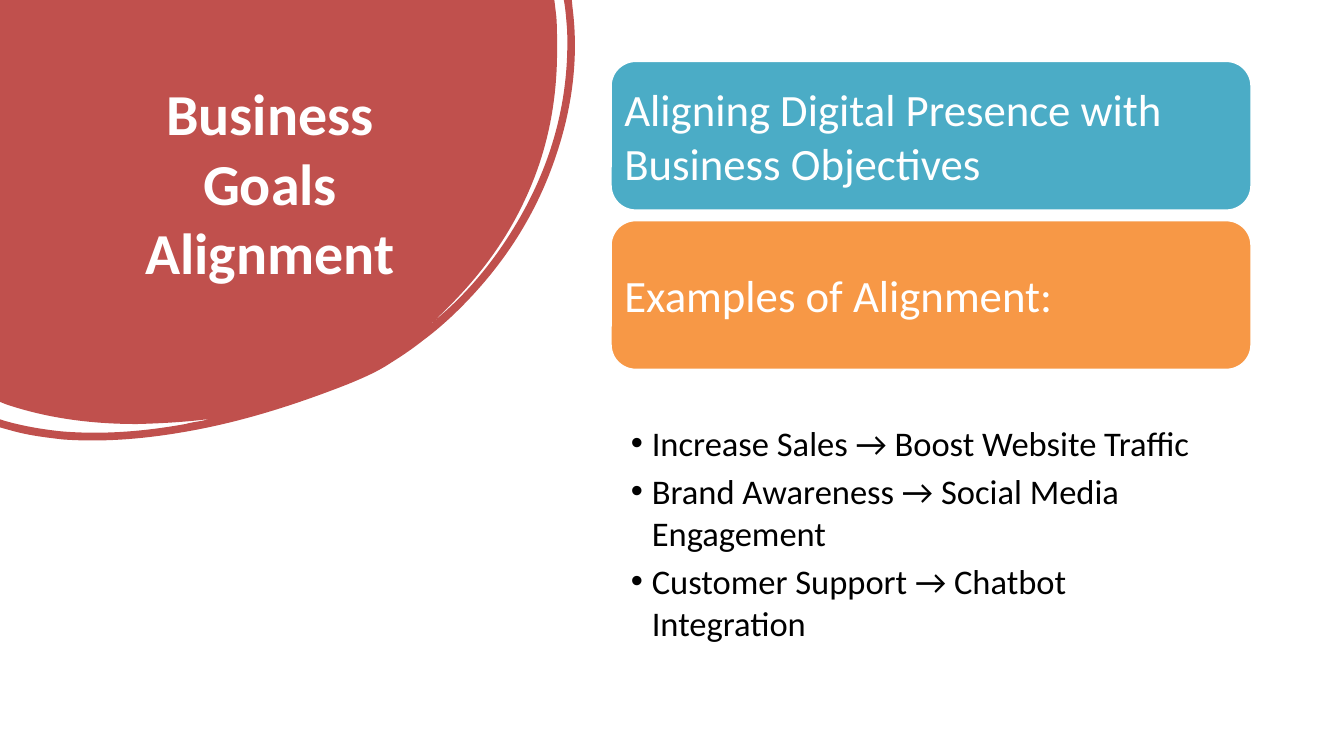
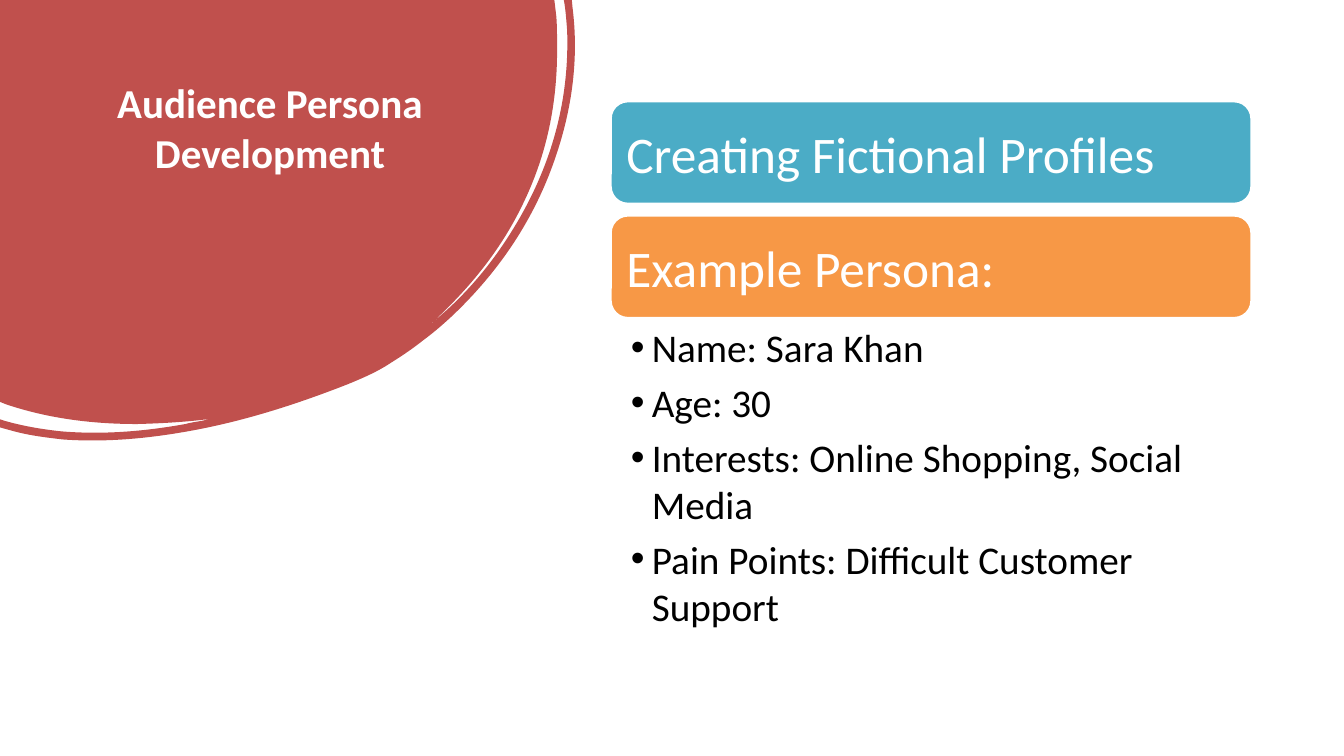
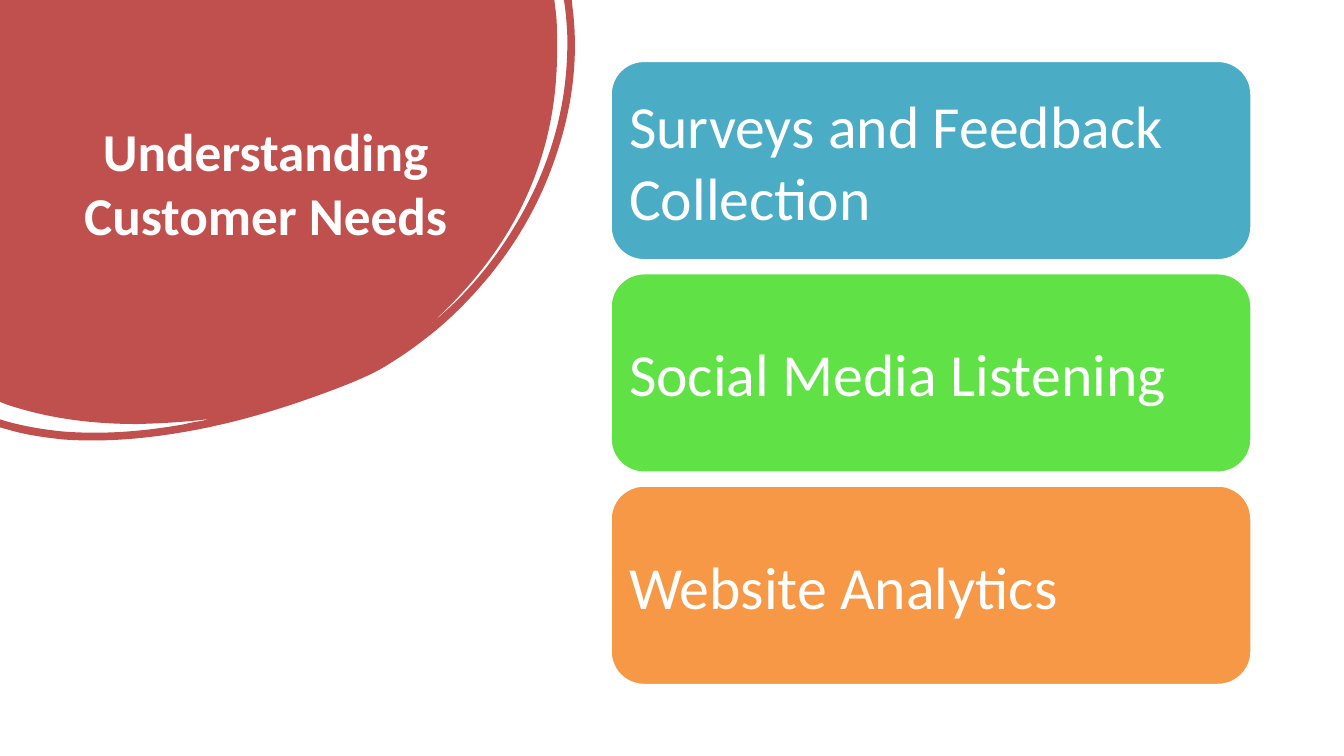
from lxml import etree
from pptx import Presentation
from pptx.dml.color import RGBColor
from pptx.enum.shapes import MSO_SHAPE
from pptx.enum.text import MSO_ANCHOR, PP_ALIGN
from pptx.oxml.ns import qn
from pptx.util import Inches, Pt

ROUNDED = MSO_SHAPE.ROUNDED_RECTANGLE
TOP, MIDDLE = MSO_ANCHOR.TOP, MSO_ANCHOR.MIDDLE
LEFT, CENTER = PP_ALIGN.LEFT, PP_ALIGN.CENTER

# Content: lengths in inches, type sizes in points
SLIDES = [
    {
        "title": "Business Goals Alignment",
        "title_box": (1.38, 1.11, 5.28, 3.33), "title_size": 62.1,
        "cards": [("Aligning Digital Presence with Business Objectives", "teal"),
                  ("Examples of Alignment:", "orange")],
        "card_top": 0.91, "card_height": 2.22, "card_gap": 0.15,
        "card_size": 48, "card_pad": 0.2,
        "bullets": ["Increase Sales → Boost Website Traffic",
                    "Brand Awareness → Social Media Engagement",
                    "Customer Support → Chatbot Integration"],
        "bullet_lead": 0.71, "bullet_height": 4.16, "bullet_size": 37,
        "bullet_pad": (0.3, 0.07, 0.37, 0.07),
    },
    {
        "title": "Audience Persona Development",
        "title_box": (1.38, 1.11, 5.28, 3.33), "title_size": 44,
        "cards": [("Creating Fictional Profiles", "teal"),
                  ("Example Persona:", "orange")],
        "card_top": 1.51, "card_height": 1.52, "card_gap": 0.18,
        "card_size": 55, "card_pad": 0.23,
        "bullets": ["Name: Sara Khan",
                    "Age: 30",
                    "Interests: Online Shopping, Social Media",
                    "Pain Points: Difficult Customer Support"],
        "bullet_lead": 0, "bullet_height": 4.84, "bullet_size": 42,
        "bullet_pad": (0.3, 0.08, 0.43, 0.08),
    },
    {
        "title": "Understanding Customer Needs",
        "title_box": (0.67, 1.71, 6.57, 3.66), "title_size": 57,
        "cards": [("Surveys and Feedback Collection", "teal"),
                  ("Social Media Listening", "green"),
                  ("Website Analytics", "orange")],
        "card_top": 0.91, "card_height": 2.96, "card_gap": 0.2,
        "card_size": 64, "card_pad": 0.27,
        "bullets": [],
    },
]

# Shared look
THEME = {
    "font": "Calibri",
    "red": RGBColor(0xC0, 0x50, 0x4D),
    "teal": RGBColor(0x4B, 0xAC, 0xC6),
    "orange": RGBColor(0xF7, 0x98, 0x46),
    "green": RGBColor(0x60, 0xE1, 0x46),
    "white": RGBColor(0xFF, 0xFF, 0xFF),
    "black": RGBColor(0, 0, 0),
    "card_line": Pt(2),
}
COLUMN_LEFT, COLUMN_WIDTH = 9.09, 9.53
BULLET_INDENT = 0.31
BULLET_SPACING = 0.2    # share of the type size
CORNER_INSET = 0.29 / 6  # text inset of a rounded rectangle, share of its height

# Corner blob from (0, 0): pairs are lines, sixes are Bezier curves
BLOB_SIZE = (8.56, 6.55)
BLOB = [
    (8.25, 0), (8.28, 0.25),
    (8.29, 0.39, 8.29, 0.54, 8.29, 0.68),
    (8.3, 1.52, 8.14, 2.31, 7.77, 3.06),
    (7.44, 3.74, 6.97, 4.31, 6.41, 4.82),
    (6.43, 4.81, 6.46, 4.79, 6.47, 4.77),
    (6.88, 4.43, 7.23, 4.03, 7.52, 3.59),
    (8.15, 2.64, 8.48, 1.6, 8.44, 0.45),
    (8.43, 0.32, 8.42, 0.18, 8.4, 0.05),
    (8.39, 0), (8.51, 0), (8.52, 0.11),
    (8.61, 0.81, 8.53, 1.53, 8.3, 2.24),
    (7.99, 3.21, 7.45, 4.02, 6.72, 4.71),
    (6.58, 4.84, 6.44, 4.96, 6.29, 5.07),
    (6.14, 5.19, 5.99, 5.29, 5.8, 5.41),
    (5.62, 5.53, 5.39, 5.63, 5.17, 5.72),
    (4.48, 5.99, 3.78, 6.22, 3.05, 6.37),
    (2.36, 6.51, 1.65, 6.59, 0.94, 6.54),
    (0.68, 6.51, 0.43, 6.48, 0.18, 6.41),
    (0, 6.36), (0, 6.24), (0.06, 6.26),
    (0.34, 6.34, 0.63, 6.39, 0.92, 6.42),
    (1.54, 6.47, 2.15, 6.42, 2.76, 6.31),
    (2.83, 6.29, 2.9, 6.28, 2.96, 6.27),
    (3.03, 6.26, 3.09, 6.24, 3.15, 6.23),
    (2.78, 6.28, 2.41, 6.3, 2.04, 6.31),
    (1.38, 6.31, 0.73, 6.23, 0.1, 6.02),
    (0, 5.98),
]


def write(tf, lines, size, color, pad, anchor=TOP, align=LEFT, bold=False, bulleted=False):
    """Fill a text frame, one paragraph per line."""
    frame = dict(zip(("margin_left", "margin_top", "margin_right", "margin_bottom"),
                     map(Inches, pad)))
    frame.update(word_wrap=True, vertical_anchor=anchor)
    for name, value in frame.items():
        setattr(tf, name, value)
    for i, line in enumerate(lines):
        p = tf.add_paragraph() if i else tf.paragraphs[0]
        p.alignment = align
        if bulleted:
            add_bullet(p)
            p.space_after = Pt(round(size * BULLET_SPACING, 1))
        r = p.add_run()
        r.text = line
        for name, value in {"name": THEME["font"], "size": Pt(size), "bold": bold}.items():
            setattr(r.font, name, value)
        r.font.color.rgb = THEME[color]


def add_bullet(p):
    ppr = p._p.get_or_add_pPr()
    ppr.set("marL", str(Inches(BULLET_INDENT)))
    ppr.set("indent", str(-Inches(BULLET_INDENT)))
    etree.SubElement(ppr, qn("a:buFont")).set("typeface", "Arial")
    etree.SubElement(ppr, qn("a:buChar")).set("char", "•")


def paint(sp, color):
    sp.shadow.inherit = False
    sp.fill.solid()
    sp.fill.fore_color.rgb = THEME[color]


def add_blob(s):
    builder = s.shapes.build_freeform(0, 0)
    builder.add_line_segments([tuple(map(Inches, seg[-2:])) for seg in BLOB], close=True)
    sp = builder.convert_to_shape()
    sp.width, sp.height = map(Inches, BLOB_SIZE)
    path = next(sp._element.iter(qn("a:path")))
    path.set("w", str(sp.width))
    path.set("h", str(sp.height))
    # Bend the segments that have control points
    for seg, line in zip(BLOB, path.findall(qn("a:lnTo"))):
        if len(seg) == 6:
            curve = etree.Element(qn("a:cubicBezTo"))
            for x, y in zip(seg[::2], seg[1::2]):
                etree.SubElement(curve, qn("a:pt"), x=str(Inches(x)), y=str(Inches(y)))
            path.replace(line, curve)
    paint(sp, "red")
    sp.line.fill.background()


def add_title(s, d):
    sp = s.shapes.add_textbox(*map(Inches, d["title_box"]))
    write(sp.text_frame, [d["title"]], d["title_size"], "white",
          (0.1, 0.05, 0.1, 0.05), align=CENTER, bold=True)


def add_cards(s, d):
    """Stack the cards and return the bottom of the last one."""
    height = d["card_height"]
    pad = [d["card_pad"] - CORNER_INSET * height] * 4
    for i, (text, color) in enumerate(d["cards"]):
        top = d["card_top"] + i * (height + d["card_gap"])
        sp = s.shapes.add_shape(ROUNDED, *map(Inches, (COLUMN_LEFT, top, COLUMN_WIDTH, height)))
        paint(sp, color)
        sp.line.color.rgb = THEME["white"]
        sp.line.width = THEME["card_line"]
        write(sp.text_frame, [text], d["card_size"], "white", pad, anchor=MIDDLE)
    return top + height


def add_bullets(s, d, cards_bottom):
    box = (COLUMN_LEFT, cards_bottom + d["bullet_lead"], COLUMN_WIDTH, d["bullet_height"])
    sp = s.shapes.add_textbox(*map(Inches, box))
    write(sp.text_frame, d["bullets"], d["bullet_size"], "black",
          d["bullet_pad"], bulleted=True)


def main():
    prs = Presentation()
    prs.slide_width, prs.slide_height = Inches(20), Inches(11.25)
    for d in SLIDES:
        s = prs.slides.add_slide(prs.slide_layouts[6])
        add_blob(s)
        add_title(s, d)
        cards_bottom = add_cards(s, d)
        if d["bullets"]:
            add_bullets(s, d, cards_bottom)
    prs.save("out.pptx")


if __name__ == "__main__":
    main()
